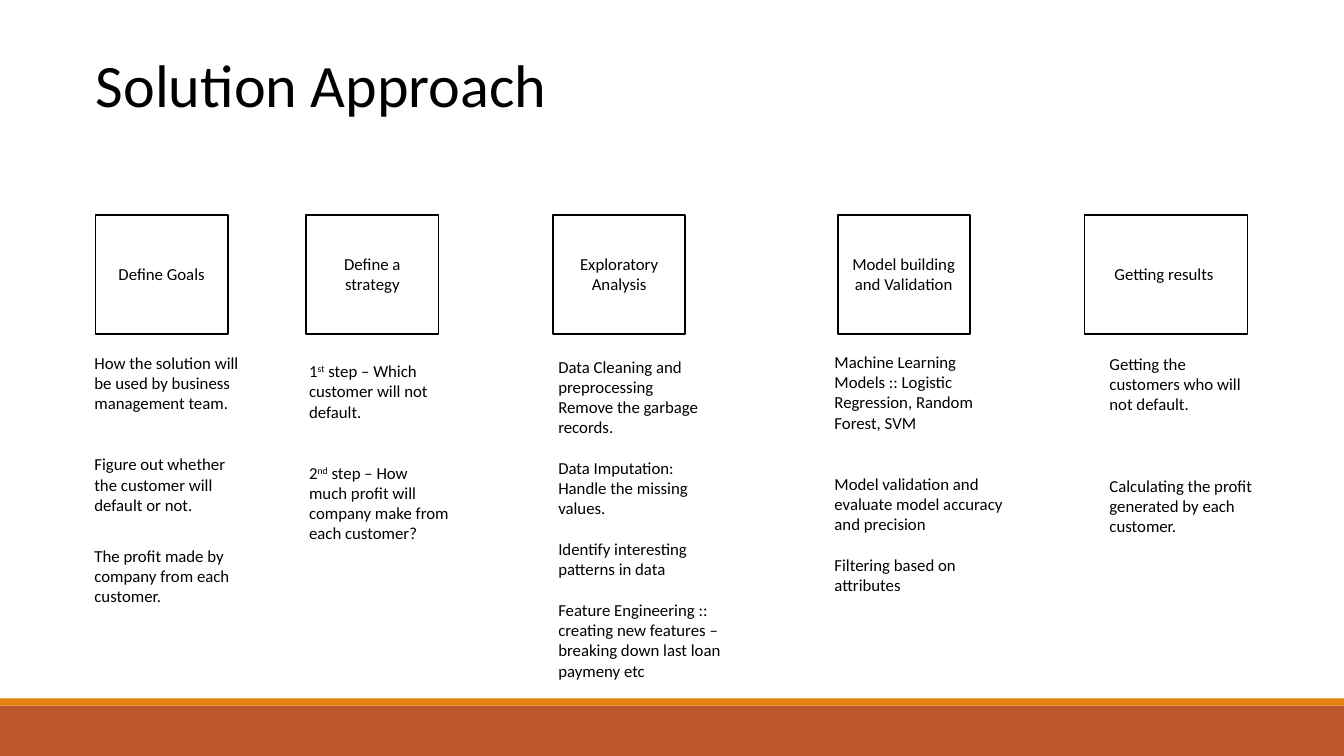
from dataclasses import dataclass
from typing import Any

import pptx
import pptx.dml.color
import pptx.enum.shapes
import pptx.enum.text
import pptx.util

Cm = pptx.util.Cm
Pt = pptx.util.Pt
ALIGN = pptx.enum.text.PP_ALIGN
ANCHOR = pptx.enum.text.MSO_ANCHOR
AUTO_SIZE = pptx.enum.text.MSO_AUTO_SIZE

SLIDE_WIDTH, SLIDE_HEIGHT = 33.87, 19.05
STAGE_TOP, STAGE_HEIGHT = 5.41, 3.0
BLANK_LINE = 14.65
BLACK, WHITE = "000000", "FFFFFF"
SUPERSCRIPT_MARK = "^"


@dataclass(frozen=True)
class Area:
    left: float
    top: float
    width: float
    height: float

    def lengths(self) -> tuple:
        return Cm(self.left), Cm(self.top), Cm(self.width), Cm(self.height)


@dataclass(frozen=True)
class Step:
    text: str
    blank_lines: float = 0


@dataclass(frozen=True)
class Stage:
    heading: str
    left: float
    steps_area: Area
    steps: tuple[Step, ...]
    width: float = 3.33


@dataclass(frozen=True)
class Band:
    area: Area
    color: str


BANDS = (
    Band(Area(0, 17.78, SLIDE_WIDTH, 1.27), "BD582C"),
    Band(Area(0, 17.6, SLIDE_WIDTH, 0.18), "E48312"),
)

STAGES = (
    Stage("Define Goals", 2.41, Area(2.13, 8.76, 4.29, 7.44), (
        Step("How the solution will be used by business management team."),
        Step("Figure out whether the customer will default or not.", 2),
        Step("The profit made by company from each customer.", 1.5),
    )),
    Stage("Define a strategy", 7.72, Area(7.54, 8.97, 4.04, 6.4), (
        Step("1^st^ step – Which customer will not default."),
        Step("2^nd^ step – How much profit will company make from each customer?", 2),
    )),
    Stage("Exploratory Analysis", 13.94, Area(13.82, 8.86, 5.05, 9.5), (
        Step("Data Cleaning and preprocessing"),
        Step("Remove the garbage records."),
        Step("Data Imputation:", 1),
        Step("Handle the missing"),
        Step("values."),
        Step("Identify interesting", 1),
        Step("patterns in data"),
        Step("Feature Engineering :: creating new features – "
             "breaking down last loan paymeny etc", 1),
    )),
    Stage("Model building and Validation", 21.11, Area(20.78, 8.74, 4.88, 7.44), (
        Step("Machine Learning Models :: Logistic Regression, Random Forest, SVM"),
        Step("Model validation and evaluate model accuracy and precision", 2),
        Step("Filtering based on attributes", 1),
    )),
    Stage("Getting results ", 27.33, Area(27.71, 8.79, 4.22, 4.88), (
        Step("Getting the customers who will not default."),
        Step("Calculating the profit generated by each customer.", 3),
    ), width=4.11),
)


def rgb(color: str) -> pptx.dml.color.RGBColor:
    return pptx.dml.color.RGBColor.from_string(color)


def apply_formats(target: Any, formats: dict[str, Any]) -> None:
    for attribute, value in formats.items():
        setattr(target, attribute, value)


def format_font(font: Any, size: float) -> None:
    apply_formats(font, {"name": "Calibri", "size": Pt(size)})
    font.color.rgb = rgb(BLACK)


def write_text(paragraph: Any, text: str, size: float = 12) -> None:
    for position, part in enumerate(text.split(SUPERSCRIPT_MARK)):
        run = paragraph.add_run()
        run.text = part
        format_font(run.font, size)
        if position % 2:
            run._r.get_or_add_rPr().set("baseline", "30000")


def add_rectangle(slide: Any, area: Area, color: str) -> Any:
    rectangle = slide.shapes.add_shape(
        pptx.enum.shapes.MSO_SHAPE.RECTANGLE, *area.lengths())
    rectangle.shadow.inherit = False
    rectangle.fill.solid()
    rectangle.fill.fore_color.rgb = rgb(color)
    rectangle.line.fill.background()
    return rectangle


def add_stage(slide: Any, stage: Stage) -> None:
    card = add_rectangle(
        slide, Area(stage.left, STAGE_TOP, stage.width, STAGE_HEIGHT), WHITE)
    card.line.color.rgb = rgb(BLACK)
    card.line.width = Pt(1.25)
    apply_formats(card.text_frame, {
        "word_wrap": True, "vertical_anchor": ANCHOR.MIDDLE})
    heading = card.text_frame.paragraphs[0]
    heading.alignment = ALIGN.CENTER
    write_text(heading, stage.heading)

    details = slide.shapes.add_textbox(*stage.steps_area.lengths()).text_frame
    details.word_wrap = True
    for index, step in enumerate(stage.steps):
        paragraph = details.add_paragraph() if index else details.paragraphs[0]
        if step.blank_lines:
            paragraph.space_before = Pt(round(step.blank_lines * BLANK_LINE, 1))
        write_text(paragraph, step.text)


def set_title(slide: Any, text: str, area: Area) -> None:
    title = slide.shapes.title
    apply_formats(title, dict(zip(("left", "top", "width", "height"), area.lengths())))
    apply_formats(title.text_frame, {
        "word_wrap": True,
        "auto_size": AUTO_SIZE.NONE,
        "vertical_anchor": ANCHOR.TOP,
    })
    heading = title.text_frame.paragraphs[0]
    heading.alignment = ALIGN.LEFT
    write_text(heading, text, size=43)


def main() -> None:
    presentation = pptx.Presentation()
    apply_formats(presentation, {
        "slide_width": Cm(SLIDE_WIDTH), "slide_height": Cm(SLIDE_HEIGHT)})
    slide = presentation.slides.add_slide(presentation.slide_layouts[5])
    for band in BANDS:
        add_rectangle(slide, band.area, band.color)
    set_title(slide, "Solution Approach", Area(2.16, 1.07, 14.81, 2.08))
    for stage in STAGES:
        add_stage(slide, stage)
    presentation.save("out.pptx")


if __name__ == "__main__":
    main()
